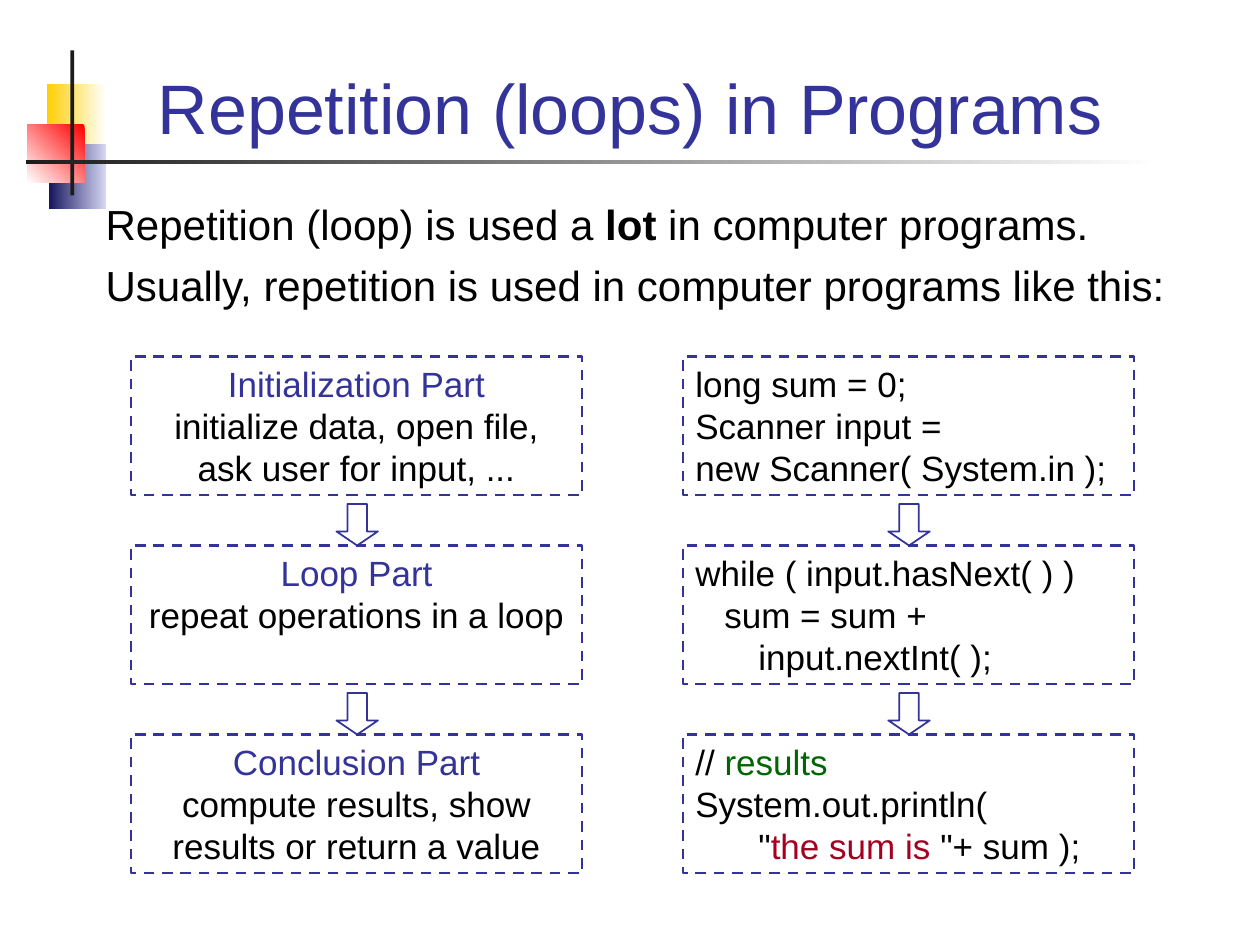
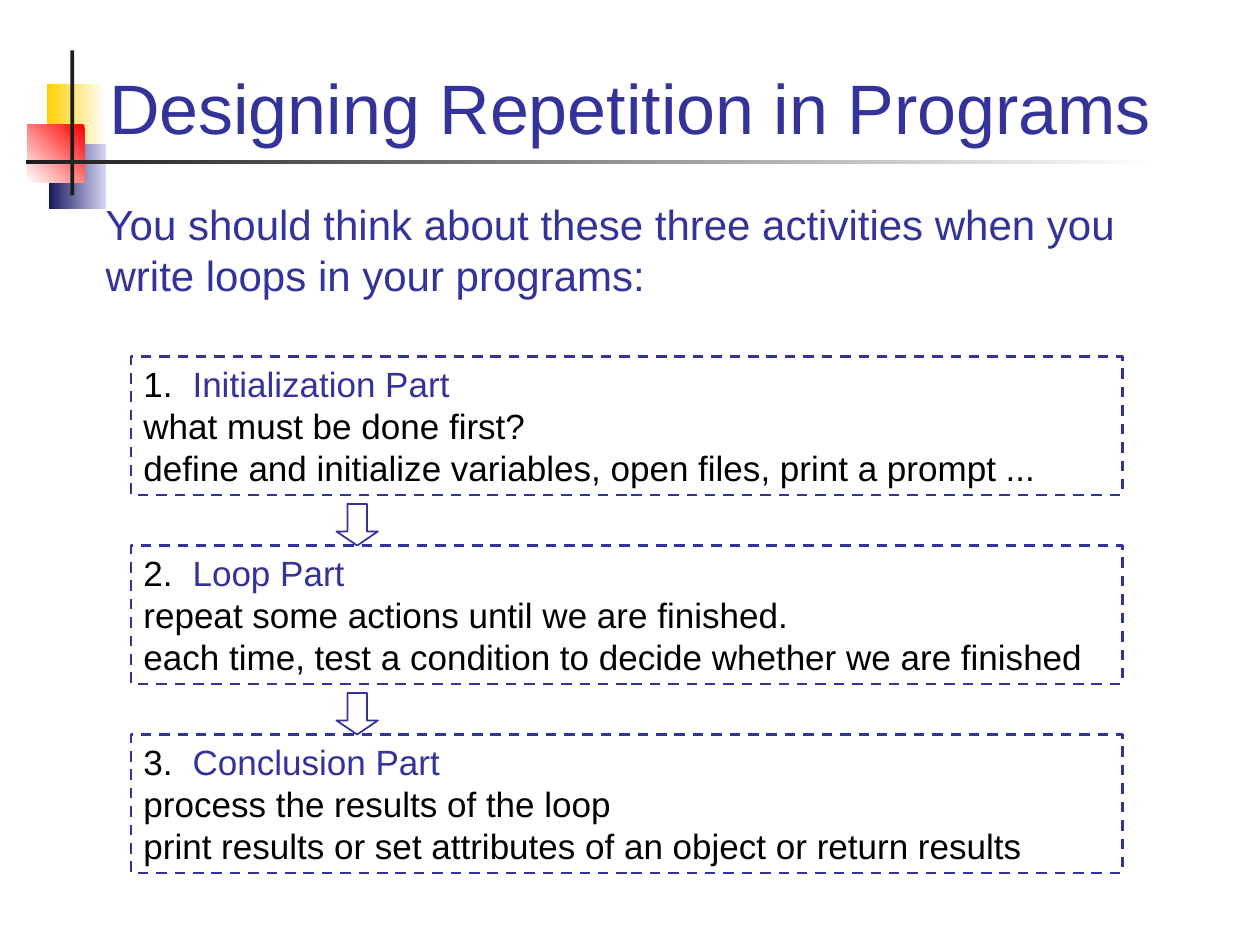
from dataclasses import dataclass
from lxml.etree import SubElement
from pptx import Presentation
from pptx.dml.color import RGBColor
from pptx.enum.dml import MSO_LINE
from pptx.enum.shapes import MSO_SHAPE
from pptx.enum.text import MSO_ANCHOR, PP_ALIGN
from pptx.oxml.ns import qn
from pptx.util import Inches, Pt


@dataclass(frozen=True)
class Theme:
    font: str = "Arial"
    title_size: int = 40
    body_size: int = 24
    box_size: int = 20
    indigo: str = "333399"
    black: str = "000000"
    green: str = "006600"
    crimson: str = "A50021"
    charcoal: str = "1C1C1C"
    white: str = "FFFFFF"
    yellow: str = "FFCF01"
    red: str = "FF0000"
    navy: str = "17175E"
    lavender: str = "D6D6F5"


THEME = Theme()
BOX_HEIGHT, BOX_PITCH = 1.1, 1.5
ARROW_SIZE, ARROW_OFFSET = 0.33, 1.63
NUMBER_TAB = 0.39


def add_plain_shape(page, kind, left, top, width, height):
    shape = page.shapes.add_shape(kind, Inches(left), Inches(top), Inches(width), Inches(height))
    shape.shadow.inherit = False
    shape.fill.background()
    shape.line.fill.background()
    return shape


def write_line(para, spans, size, align=PP_ALIGN.LEFT, indent=0):
    """Write one paragraph from (text, colour[, bold]) spans."""
    para.alignment = align
    para.font.name = THEME.font
    para.font.size = Pt(size)
    properties = para._p.get_or_add_pPr()
    if indent:
        properties.set("marL", str(Inches(indent)))
    if any("\t" in text for text, *_ in spans):
        tabs = SubElement(properties, qn("a:tabLst"))
        SubElement(tabs, qn("a:tab"), pos=str(Inches(NUMBER_TAB)), algn="l")
        properties.insert(0, tabs)
    for text, colour, *bold in spans:
        span = para.add_run()
        span.text = text
        span.font.color.rgb = RGBColor.from_string(colour)
        if bold:
            span.font.bold = bold[0]


def write_lines(frame, lines, size, align=PP_ALIGN.LEFT, space_before=0):
    """Write (indent, spans) lines, one paragraph each."""
    frame.word_wrap = True
    for number, (indent, spans) in enumerate(lines):
        para = frame.add_paragraph() if number else frame.paragraphs[0]
        para.space_before = Pt(space_before)
        write_line(para, spans, size, align, indent)


def black(text, indent=0):
    return indent, [(text, THEME.black)]


def indigo(text):
    return 0, [(text, THEME.indigo)]


def numbered(number, heading):
    return 0, [(f"{number}.\t", THEME.black), (heading, THEME.indigo)]


# Coloured squares and crossing bars in the corner
def add_corner_ornament(page, left, top):
    squares = [
        (0.16, 0.27, 0.47, 0.52, THEME.white, THEME.yellow, 180),
        (0.18, 0.74, 0.45, 0.52, THEME.lavender, THEME.navy, 180),
        (0.01, 0.59, 0.45, 0.46, THEME.red, THEME.white, 225),
    ]
    rule = (0, 0.87, 9, 0.03, THEME.white, THEME.charcoal, 180)
    upright = (0.35, 0, 0.03, 1.15, THEME.charcoal, THEME.charcoal, 180)
    for x, y, width, height, start, end, angle in squares + [upright, rule]:
        shape = add_plain_shape(page, MSO_SHAPE.RECTANGLE, left + x, top + y, width, height)
        if start == end:
            shape.fill.solid()
            shape.fill.fore_color.rgb = RGBColor.from_string(start)
            continue
        shape.fill.gradient()
        shape.fill.gradient_angle = angle
        for stop, colour in zip(shape.fill.gradient_stops, (start, end)):
            stop.color.rgb = RGBColor.from_string(colour)


def add_text(page, left, top, width, height, lines, size, **layout):
    box = page.shapes.add_textbox(Inches(left), Inches(top), Inches(width), Inches(height))
    write_lines(box.text_frame, lines, size, **layout)
    return box


# Ornament, title and introduction shared by every slide
def add_page(deck, title, introduction):
    page = deck.slides.add_slide(deck.slide_layouts[6])
    add_corner_ornament(page, 0.21, 0.4)
    heading = add_text(page, 0.67, 0.28, 8.66, 0.95, [indigo(title)],
                       THEME.title_size, align=PP_ALIGN.CENTER)
    heading.text_frame.vertical_anchor = MSO_ANCHOR.BOTTOM
    add_text(page, 0.74, 1.53, 8.66, 1.14, introduction, THEME.body_size, space_before=6)
    return page


# Column of dashed boxes joined by block arrows
def add_flow(page, left, top, width, steps, align=PP_ALIGN.LEFT):
    outline = RGBColor.from_string(THEME.indigo)
    for number, lines in enumerate(steps):
        box_top = top + number * BOX_PITCH
        box = add_plain_shape(page, MSO_SHAPE.RECTANGLE, left, box_top, width, BOX_HEIGHT)
        box.line.color.rgb = outline
        box.line.width = Pt(1.5)
        box.line.dash_style = MSO_LINE.DASH
        box.text_frame.vertical_anchor = MSO_ANCHOR.TOP
        write_lines(box.text_frame, lines, THEME.box_size, align)
        if number:
            arrow = add_plain_shape(page, MSO_SHAPE.DOWN_ARROW, left + ARROW_OFFSET,
                                    box_top - ARROW_SIZE, ARROW_SIZE, ARROW_SIZE)
            arrow.adjustments[0] = 0.47
            arrow.adjustments[1] = 0.34
            arrow.line.color.rgb = outline
            arrow.line.width = Pt(1)


def add_repetition_slide(deck):
    page = add_page(deck, "Repetition (loops) in Programs", [
        (0, [("Repetition (loop) is used a ", THEME.black), ("lot", THEME.black, True),
             (" in computer programs.", THEME.black)]),
        black("Usually, repetition is used in computer programs like this:"),
    ])
    add_flow(page, 1.04, 2.83, 3.58, [
        [indigo("Initialization Part"),
         black("initialize data, open file, ask user for input, ...")],
        [indigo("Loop Part"), black("repeat operations in a loop")],
        [indigo("Conclusion Part"),
         black("compute results, show results or return a value")],
    ], PP_ALIGN.CENTER)
    add_flow(page, 5.42, 2.83, 3.58, [
        [black("long sum = 0;"), black("Scanner input ="),
         black("new Scanner( System.in );")],
        [black("while ( input.hasNext( ) )"), black("sum = sum +", 0.23),
         black("input.nextInt( );", 0.5)],
        [(0, [("// ", THEME.black), ("results", THEME.green)]),
         black("System.out.println("),
         (0.5, [('"', THEME.black), ("the sum is ", THEME.crimson),
                ('"+ sum );', THEME.black)])],
    ])


def add_design_slide(deck):
    page = add_page(deck, "Designing Repetition in Programs", [
        indigo("You should think about these three activities when you "
               "write loops in your programs:"),
    ])
    activities = [
        ("Initialization Part", "what must be done first?",
         "define and initialize variables, open files, print a prompt ..."),
        ("Loop Part", "repeat some actions until we are finished.",
         "each time, test a condition to decide whether we are finished"),
        ("Conclusion Part", "process the results of the loop",
         "print results or set attributes of an object or return results"),
    ]
    add_flow(page, 1.04, 2.83, 7.87, [
        [numbered(number, heading), *map(black, details)]
        for number, (heading, *details) in enumerate(activities, 1)
    ])


deck = Presentation()
deck.slide_width, deck.slide_height = Inches(10), Inches(7.5)
add_repetition_slide(deck)
add_design_slide(deck)
deck.save("out.pptx")
